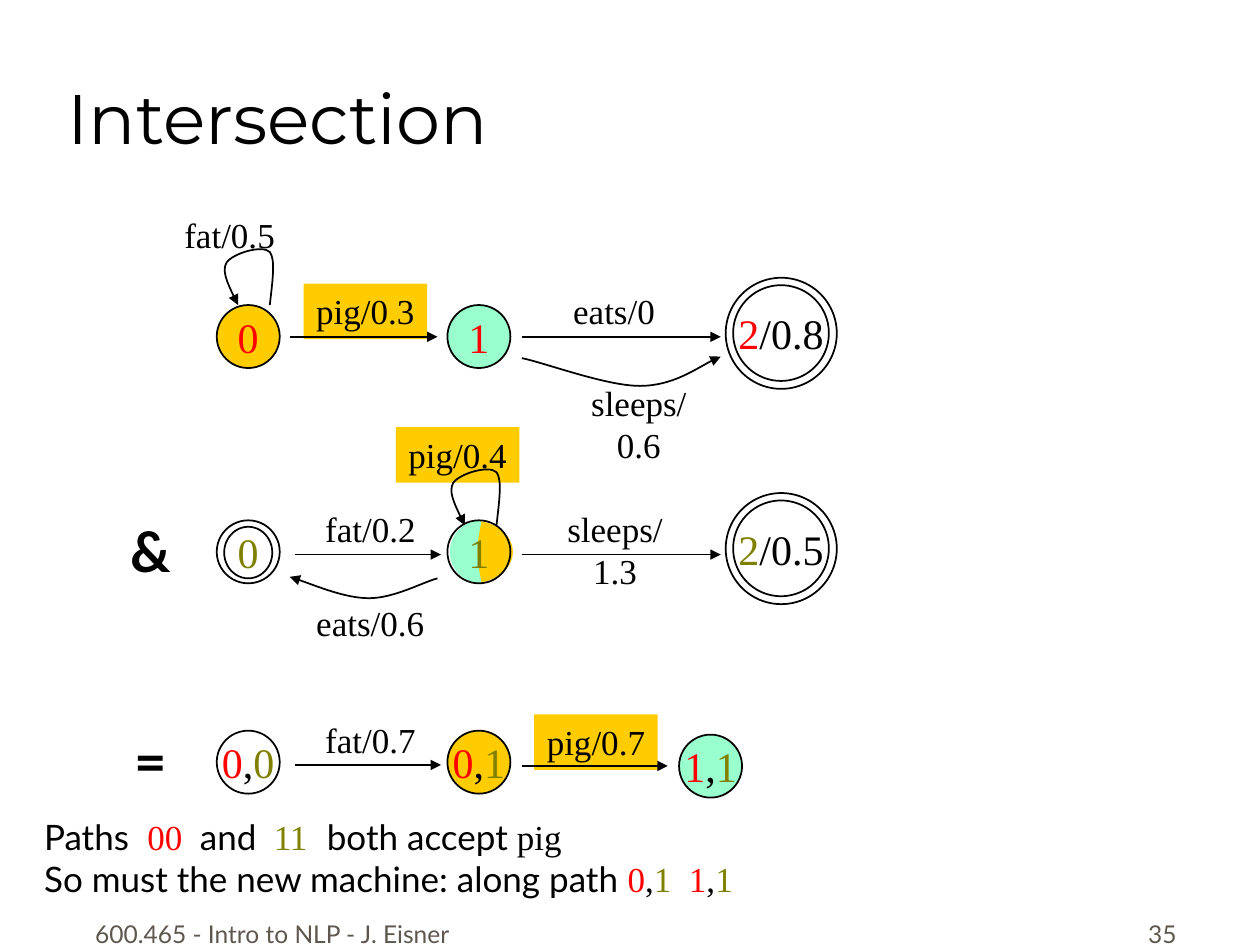
from lxml import etree
from pptx import Presentation
from pptx import util as u
from pptx.dml import color
from pptx.enum import shapes, text
from pptx.oxml import ns

HUES = {"ink": "000000", "red": "FF0000", "olive": "808000",
        "gold": "FFCC00", "mint": "99FFCC", "gray": "5E574E"}
SERIF, SANS, HEAD = "Times New Roman", "Lato", "Montserrat"
NODE = 1.27   # node width
STEP = 4.65   # from first node to second
LAST = 10.26  # from first node to final state
LOOP = [(1.07, 0), (1.12, -.46), (1.19, -.91), (1.07, -1.07), (.91, -1.22),
        (.33, -1.04), (.2, -.86), (.1, -.69), (.25, -.36), (.43, 0)]
HALF = [0, .2, .3, .64, .97, 1.07, 1.27, 1.27, .99, .64, .28, 0, 0]
GOLD = [.48, .53, .58, .58, .58, .53, .48, .94, 1.32, 1.32, 1.32, .94, .48]
MINT = [.69, .66, .61, .61, .61, .66, .69, .33, .05, .05, .05, .33, .69]


def rgb(hue):
    return color.RGBColor.from_string(HUES[hue])


def put(obj, vals):
    """Set each attribute named in vals."""
    for key, val in vals.items():
        setattr(obj, key, val)


def paint(shape, fill=None, line=None):
    shape.shadow.inherit = False
    for part, hue in ((shape.fill, fill), (shape.line.fill, line)):
        if hue:
            part.solid()
            part.fore_color.rgb = rgb(hue)
        else:
            part.background()
    if line:
        shape.line.width = u.Pt(1)


def write(shape, rows, size, face=SERIF, bold=False, align="CENTER",
          anchor="TOP", wrap=False, tabs=()):
    """Fill a shape with rows of (words, hue[, face]) runs."""
    frame = shape.text_frame
    put(frame, {"word_wrap": wrap, "vertical_anchor": getattr(text.MSO_ANCHOR, anchor)})
    for num, row in enumerate(rows):
        par = frame.add_paragraph() if num else frame.paragraphs[0]
        par.alignment = getattr(text.PP_ALIGN, align)
        if tabs:
            stops = etree.SubElement(par._p.get_or_add_pPr(), ns.qn("a:tabLst"))
            for pos in tabs[num]:
                etree.SubElement(stops, ns.qn("a:tab"), pos=str(u.Cm(pos)), algn="l")
        for words, hue, *own in row:
            run = par.add_run()
            run.text = words
            put(run.font, {"size": u.Pt(size), "bold": bold,
                           "name": own[0] if own else face})
            run.font.color.rgb = rgb(hue)


def area(box, x, y, wide, high):
    return [u.Cm(v) for v in (box[0] + x, box[1] + y, wide, high)]


def label(page, box, x, y, words, wide=2.49, fill=None):
    place = area(box, x, y, wide, 1.12)
    if fill:
        tag = page.shapes.add_shape(shapes.MSO_SHAPE.RECTANGLE, *place)
        paint(tag, fill)
    else:
        tag = page.shapes.add_textbox(*place)
    write(tag, [[(words, "ink")]], 20)


def ring(page, box, x, y, wide, high=None, runs=(), fill=None):
    oval = page.shapes.add_shape(shapes.MSO_SHAPE.OVAL,
                                 *area(box, x, y, wide, high or wide))
    paint(oval, fill, "ink")
    if runs:
        write(oval, [runs], 24, anchor="MIDDLE")


def final(page, box, hue, cost):
    """Draw the double ring of a final state with its cost."""
    ring(page, box, LAST + .15, -.4, 1.93, runs=[("2", hue), (cost, "ink")])
    ring(page, box, LAST, -.55, 2.24)


def pair(page, box, x, y, one, two, fill=None):
    """Draw a state that joins one state of each machine."""
    ring(page, box, x, y, NODE, fill=fill,
         runs=[(one, "red"), (",", "ink"), (two, "olive")])


def point(shape):
    """Put an arrowhead at the end of a line."""
    etree.SubElement(shape.line._get_or_add_ln(), ns.qn("a:tailEnd"), type="triangle")


def arrow(page, box, x, y, end):
    ends = [u.Cm(v) for v in (box[0] + x, box[1] + y, box[0] + end, box[1] + y)]
    line = page.shapes.add_connector(shapes.MSO_CONNECTOR.STRAIGHT, *ends)
    line.line.color.rgb = rgb("ink")
    line.line.width = u.Pt(1)
    point(line)
    etree.SubElement(line._element.spPr, ns.qn("a:effectLst"))


def curve(page, box, dots, fill=None):
    """Draw Bézier curves through a start and triples of points."""
    spots = [(u.Cm(box[0] + x), u.Cm(box[1] + y)) for x, y in dots]
    pen = page.shapes.build_freeform(*spots[0])
    pen.add_line_segments(spots[1:], close=bool(fill))
    form = pen.convert_to_shape()
    legs = list(form._element.iter(ns.qn("a:lnTo")))
    for num in range(0, len(spots) - 1, 3):
        bend = etree.Element(ns.qn("a:cubicBezTo"))
        legs[num].addprevious(bend)
        for leg in legs[num:num + 3]:
            bend.append(leg[0])
            leg.getparent().remove(leg)
    paint(form, fill, None if fill else "ink")
    if not fill:
        point(form)


def sign(page, box, mark):
    tag = page.shapes.add_textbox(*area(box, -2.01, -.2, 1.35, 1.63))
    write(tag, [[(mark, "ink")]], 32, SANS, bold=True)


def first(page, box):
    label(page, box, 1.75, -.43, "pig/0.3", fill="gold")
    label(page, box, -.91, -1.98, "fat/0.5", 2.34)
    ring(page, box, 0, 0, NODE, runs=[("0", "red")], fill="gold")
    ring(page, box, STEP, 0, NODE, runs=[("1", "red")], fill="mint")
    final(page, box, "red", "/0.8")
    curve(page, box, LOOP)
    arrow(page, box, 1.47, .64, 4.45)
    arrow(page, box, 6.15, .64, 10.16)
    curve(page, box, [(6.15, 1.07), (6.63, 1.17), (7.85, 1.63), (8.53, 1.63),
                      (9.19, 1.63), (9.88, 1.14), (10.16, 1.04)])
    label(page, box, 6.93, -.43, "eats/0", 2.16)
    label(page, box, 6.86, 1.42, "sleeps/0.6", 3.3)


def second(page, box):
    mid = (box[0] + STEP, box[1])
    sign(page, box, "&")
    label(page, box, 3.61, -1.88, "pig/0.4", fill="gold")
    for hue, side in (("gold", GOLD), ("mint", MINT)):
        curve(page, mid, list(zip(side, HALF)), hue)
    ring(page, box, STEP, 0, NODE, runs=[("1", "olive")])
    ring(page, box, 0, 0, NODE, runs=[("0", "olive")])
    ring(page, box, .15, .13, .97, 1.04)
    final(page, box, "olive", "/0.5")
    curve(page, mid, [(x - .08, y + .1) for x, y in LOOP])
    arrow(page, box, 1.57, .69, 4.52)
    arrow(page, box, 6.15, .69, 10.16)
    curve(page, box, [(4.45, 1.17), (4.17, 1.24), (3.58, 1.57), (3.07, 1.57),
                      (2.59, 1.57), (1.75, 1.22), (1.47, 1.14)])
    label(page, box, 1.93, -.38, "fat/0.2", 2.34)
    label(page, box, 1.75, 1.52, "eats/0.6", 2.69)
    label(page, box, 6.38, -.38, "sleeps/1.3", 3.3)


def result(page, box):
    sign(page, box, "=")
    label(page, box, 1.93, -.38, "fat/0.7", 2.34)
    label(page, box, 6.4, -.33, "pig/0.7", fill="gold")
    pair(page, box, 0, 0, "0", "0")
    pair(page, box, STEP, 0, "0", "1", "gold")
    pair(page, box, 9.32, .08, "1", "1", "mint")
    arrow(page, box, 1.57, .69, 4.52)
    arrow(page, box, 6.15, .71, 9.09)


def notes(page, box):
    """Write the two lines that explain the new machine."""
    area_box = page.shapes.add_textbox(*area(box, 0, 0, 18.62, 1.96))
    rows = [[("Paths\t", "ink"), ("00\t", "red", SERIF), ("and\t", "ink"),
             ("11\t", "olive", SERIF), ("both accept ", "ink"), ("pig", "ink", SERIF)],
            [("So must the new machine: along path ", "ink"), ("0", "red", SERIF),
             (",", "ink", SERIF), ("1\t", "olive", SERIF), ("1", "red", SERIF),
             (",", "ink", SERIF), ("1", "olive", SERIF)]]
    write(area_box, rows, 20, SANS, align="LEFT", wrap=True,
          tabs=[(2.08, 3.14, 4.63, 5.7), (13,)])


def frame(page, box):
    """Write the title and the footer."""
    for place, words, size, hue, face, align in (
            ((1.12, .15, 21.59, 3.18), "Intersection", 40, "ink", HEAD, "LEFT"),
            ((1.47, 17.98, 8.05, 1.27), "600.465 - Intro to NLP - J. Eisner",
             14, "gray", SANS, "CENTER"),
            ((18.69, 17.98, 5.28, 1.27), "35", 14, "gray", SANS, "RIGHT")):
        tag = page.shapes.add_textbox(*area(box, *place))
        write(tag, [[(words, hue)]], size, face, align=align, anchor="BOTTOM", wrap=True)


def main():
    deck = Presentation()
    put(deck, {"slide_width": u.Cm(25.4), "slide_height": u.Cm(19.05)})
    page = deck.slides.add_slide(deck.slide_layouts[6])
    frame(page, (0, 0))
    first(page, (4.37, 6.15))
    second(page, (4.37, 10.49))
    result(page, (4.37, 14.73))
    notes(page, (.64, 16.31))
    deck.save("out.pptx")


if __name__ == "__main__":
    main()
